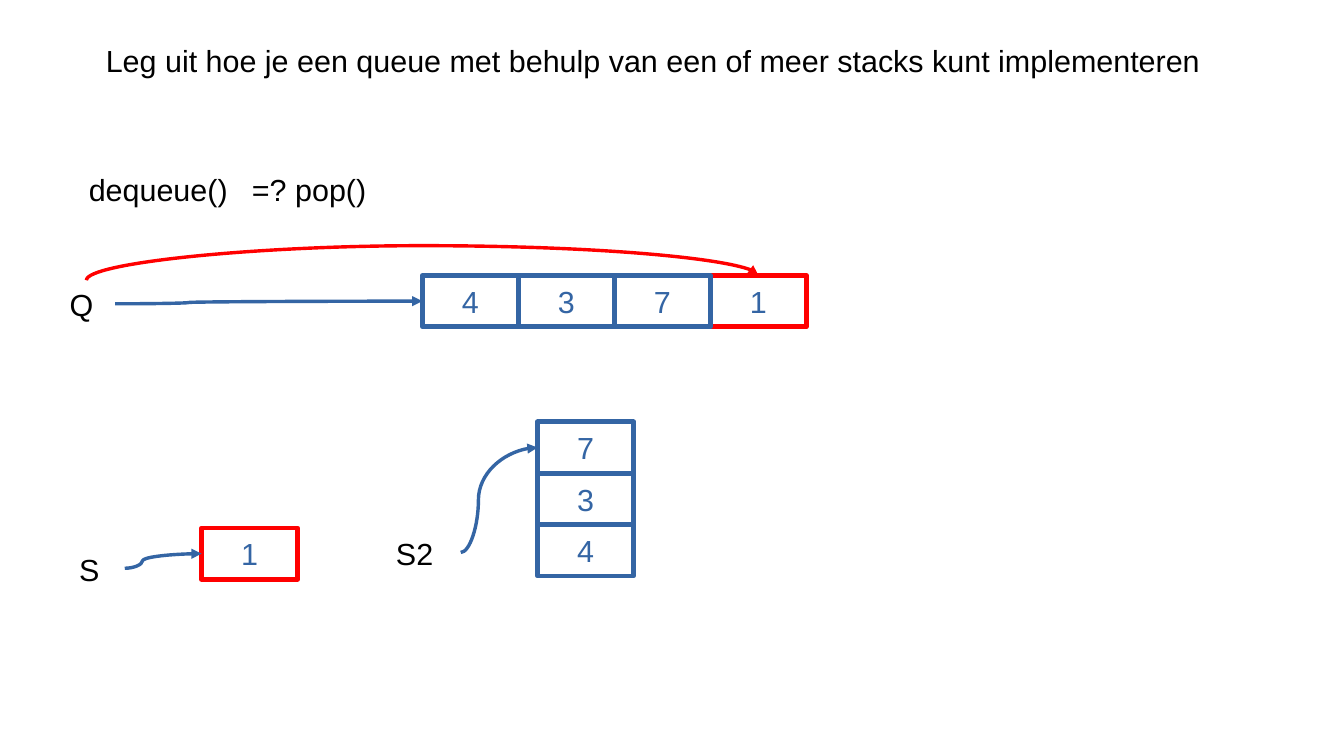
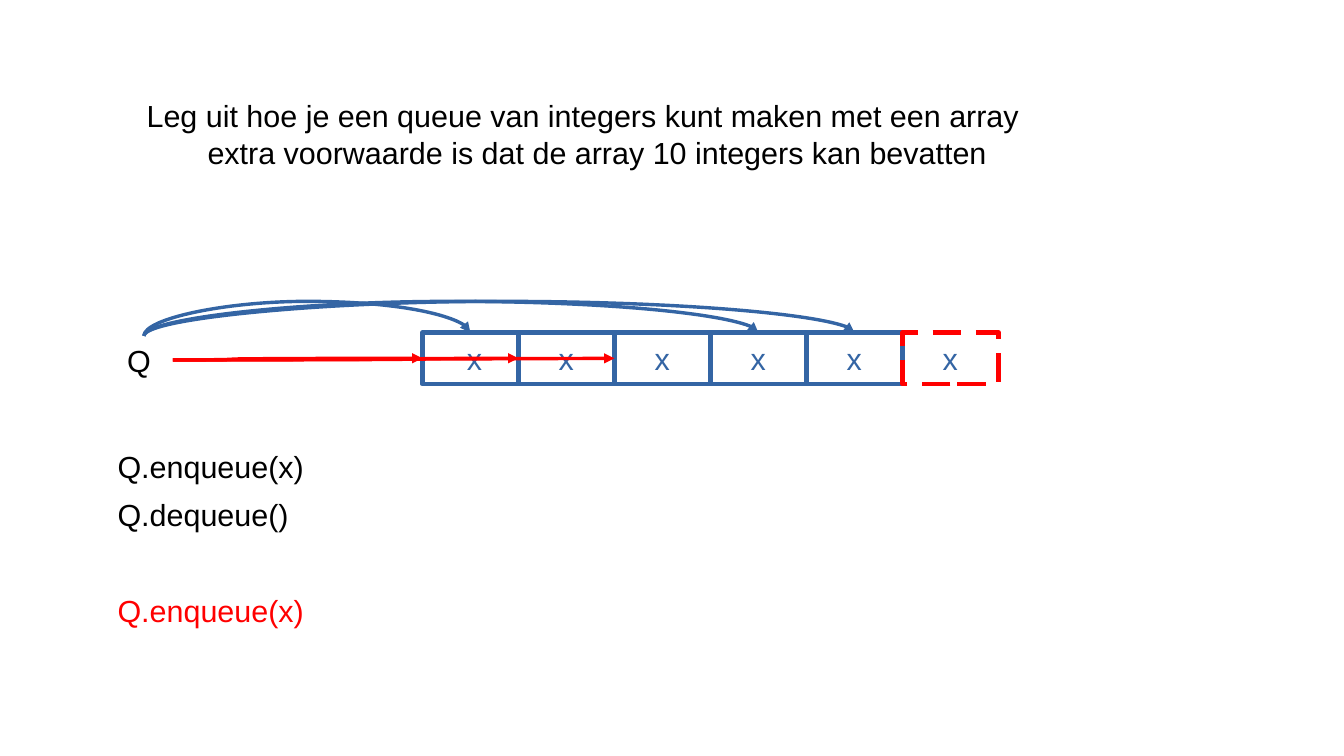
from lxml.etree import SubElement
from pptx import Presentation
from pptx.dml.color import RGBColor
from pptx.enum.shapes import MSO_CONNECTOR, MSO_SHAPE
from pptx.enum.text import MSO_ANCHOR, PP_ALIGN
from pptx.oxml.ns import qn
from pptx.util import Cm, Pt

CURVE, STRAIGHT = MSO_CONNECTOR.CURVE, MSO_CONNECTOR.STRAIGHT
RECTANGLE = MSO_SHAPE.RECTANGLE
LEFT, CENTER = PP_ALIGN.LEFT, PP_ALIGN.CENTER
TOP, MIDDLE = MSO_ANCHOR.TOP, MSO_ANCHOR.MIDDLE
TOP_SIDE, LEFT_SIDE = 0, 1

COLORS = {"text": "000000", "blue": "3465A4", "red": "FF0000"}
FONT, FONT_SIZE = "Arial", 18
TITLE_ONLY = 5
CELL_WIDTH, CELL_HEIGHT = 2, 1.07
LABEL_HEIGHT = 0.97
ARC_RISE = 0.72
CELL_STYLES = {"leaving": "red", "plain": "blue", "new": "red"}

SLIDES = [
    {
        "title": ["Leg uit hoe je een queue met behulp van een of meer stacks kunt implementeren"],
        "title_box": (1.95, 0.75, 23.65, 2.4),
        "labels": [
            ("dequeue()", 1.6, 3.43, 3.4, "text"),
            ("=? pop()", 5, 3.43, 2.9, "text"),
            ("Q", 1.2, 5.84, 1.2, "text"),
            ("S", 1.4, 11.36, 1.2, "text"),
            ("S2", 8, 11.03, 1.6, "text"),
        ],
        "blocks": {
            "queue": (8.8, 5.74, "row", [("4", "plain"), ("3", "plain"), ("7", "plain"), ("1", "leaving")]),
            "stack": (4.2, 11, "column", [("1", "leaving")]),
            "second stack": (11.2, 8.79, "column", [("7", "plain"), ("3", "plain"), ("4", "plain")]),
        },
        "arcs": [((1.8, 5.84), ("queue", 3), "red")],
        "curves": [
            ((2.4, 6.33), ("queue", 0), "blue", 0.24),
            ((2.6, 11.84), ("stack", 0), "blue", 0.23),
            ((9.6, 11.51), ("second stack", 0), "blue", 0.23),
        ],
        "straights": [],
    },
    {
        "title": [
            "Leg uit hoe je een queue van integers kunt maken met een array",
            "\textra voorwaarde is dat de array 10 integers kan bevatten",
        ],
        "title_box": (2.8, 1.9, 20.73, 1.9),
        "labels": [
            ("Q", 2.4, 7, 1.2, "text"),
            ("Q.enqueue(x)", 2.2, 9.2, 5, "text"),
            ("Q.dequeue()", 2.2, 10.2, 5, "text"),
            ("Q.enqueue(x)", 2.2, 12.2, 5, "red"),
        ],
        "blocks": {
            "queue": (8.8, 6.93, "row", [(" x", "plain")] + [("x", "plain")] * 4 + [("x", "new")]),
        },
        "arcs": [((3, 7), ("queue", index), "blue") for index in (0, 3, 4)],
        "curves": [
            ((3.6, 7.5), ("queue", 0), "red", 0.24),
            ((3.6, 7.5), ("queue", 1), "red", 0.68),
        ],
        "straights": [((3.6, 7.5), ("queue", 2), "red")],
    },
]


def rgb(name):
    return RGBColor.from_string(COLORS[name])


def write(shape, lines, color, align=LEFT, anchor=TOP):
    frame = shape.text_frame
    frame.word_wrap = True
    frame.vertical_anchor = anchor
    for index, line in enumerate(lines):
        paragraph = frame.add_paragraph() if index else frame.paragraphs[0]
        paragraph.alignment = align
        run = paragraph.add_run()
        run.text = line
        run.font.name = FONT
        run.font.size = Pt(FONT_SIZE)
        run.font.color.rgb = rgb(color)


def add_title(slide, lines, box):
    title = slide.shapes.title
    title.left, title.top, title.width, title.height = map(Cm, box)
    write(title, lines, "text")


def add_label(slide, text, left, top, width, color):
    label = slide.shapes.add_textbox(Cm(left), Cm(top), Cm(width), Cm(LABEL_HEIGHT))
    write(label, [text], color)


def add_cell(slide, text, left, top, style):
    cell = slide.shapes.add_shape(RECTANGLE, Cm(left), Cm(top), Cm(CELL_WIDTH), Cm(CELL_HEIGHT))
    cell.shadow.inherit = False
    cell.fill.background()
    cell.line.color.rgb = rgb(CELL_STYLES[style])
    cell.line.width = Pt(2.83)
    line = cell.element.spPr.find(qn("a:ln"))
    if style == "new":
        dashes = SubElement(line, qn("a:custDash"))
        SubElement(dashes, qn("a:ds"), d="600000", sp="300000")
    SubElement(line, qn("a:round"))
    frame = cell.text_frame
    frame.margin_left = frame.margin_right = Cm(0.3)
    frame.margin_top = frame.margin_bottom = Cm(0.18)
    write(cell, [text], "blue", CENTER, MIDDLE)
    return cell


def add_blocks(slide, blocks):
    cells = {}
    for style in CELL_STYLES:
        for name, (left, top, direction, values) in blocks.items():
            across, down = (CELL_WIDTH, 0) if direction == "row" else (0, CELL_HEIGHT)
            for index, (text, cell_style) in enumerate(values):
                if cell_style == style:
                    cells[name, index] = add_cell(
                        slide, text, left + index * across, top + index * down, style)
    return cells


def add_arrow(slide, kind, start, cell, side, color):
    if side == TOP_SIDE:
        end = cell.left + cell.width // 2, cell.top
    else:
        end = cell.left, cell.top + cell.height // 2
    arrow = slide.shapes.add_connector(kind, Cm(start[0]), Cm(start[1]), *end)
    arrow.line.color.rgb = rgb(color)
    arrow.line.width = Pt(0)
    properties = arrow.element.spPr
    SubElement(properties.find(qn("a:ln")), qn("a:tailEnd"), type="triangle")
    SubElement(properties, qn("a:effectLst"))
    return arrow


def set_bend(arrow, bend):
    adjustments = arrow.element.spPr.find(qn("a:prstGeom")).find(qn("a:avLst"))
    SubElement(adjustments, qn("a:gd"), name="adj1", fmla=f"val {round(bend * 100000)}")


def add_arc(slide, start, cell, color):
    arrow = add_arrow(slide, CURVE, start, cell, TOP_SIDE, color)
    set_bend(arrow, Cm(ARC_RISE) / arrow.height)
    span, drop = arrow.width, arrow.height
    arrow.left += (span - drop) // 2
    arrow.top -= (span - drop) // 2
    arrow.width, arrow.height = drop, span
    arrow.rotation = 90
    arrow.element.spPr.find(qn("a:xfrm")).set("flipH", "1")


def build_slide(presentation, content):
    slide = presentation.slides.add_slide(presentation.slide_layouts[TITLE_ONLY])
    add_title(slide, content["title"], content["title_box"])
    for label in content["labels"]:
        add_label(slide, *label)
    cells = add_blocks(slide, content["blocks"])
    for start, target, color in content["arcs"]:
        add_arc(slide, start, cells[target], color)
    for start, target, color, bend in content["curves"]:
        set_bend(add_arrow(slide, CURVE, start, cells[target], LEFT_SIDE, color), bend)
    for start, target, color in content["straights"]:
        arrow = add_arrow(slide, STRAIGHT, start, cells[target], LEFT_SIDE, color)
        arrow.end_connect(cells[target], LEFT_SIDE)


def main():
    presentation = Presentation()
    presentation.slide_width, presentation.slide_height = Cm(28), Cm(15.75)
    for content in SLIDES:
        build_slide(presentation, content)
    presentation.save("out.pptx")


if __name__ == "__main__":
    main()
